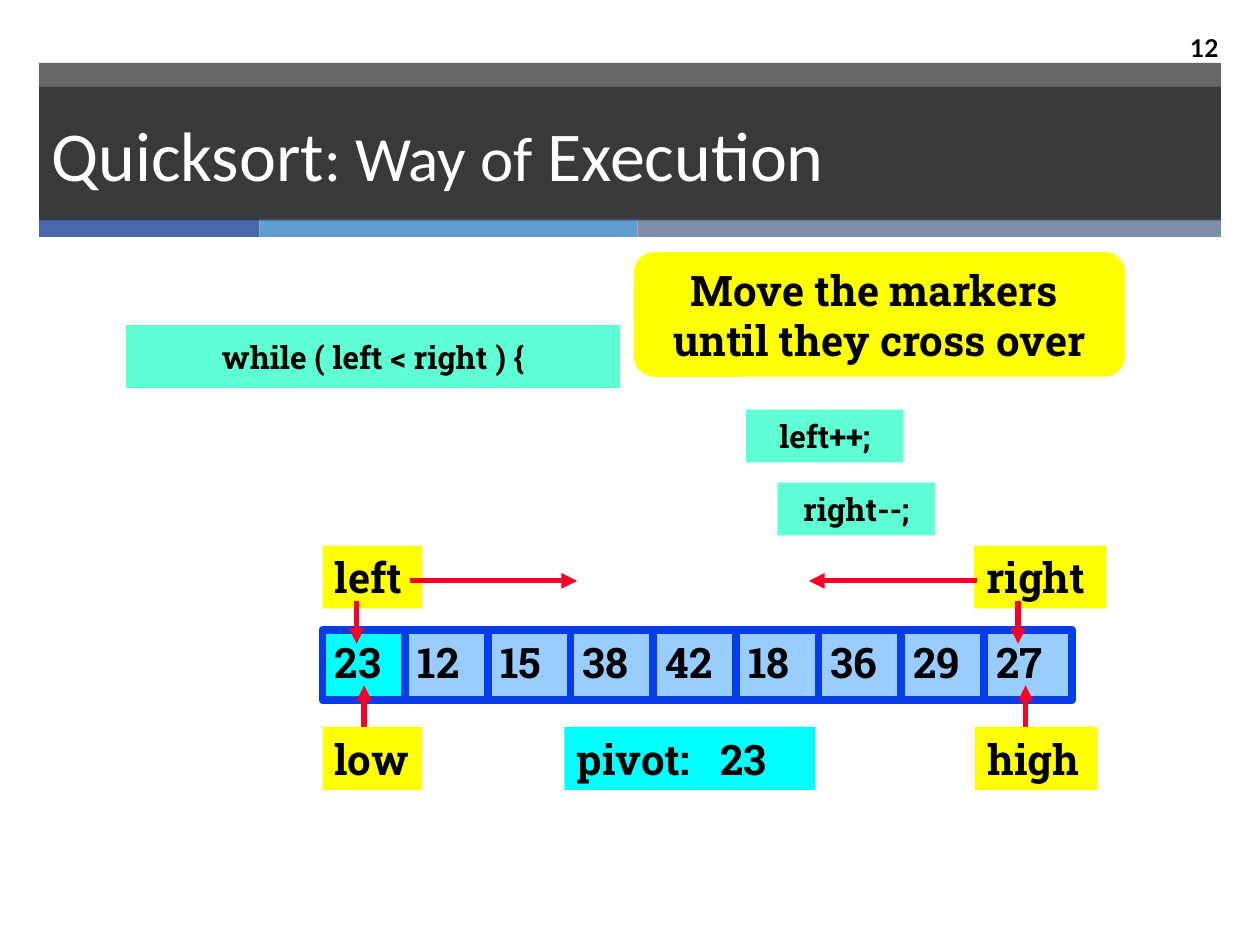
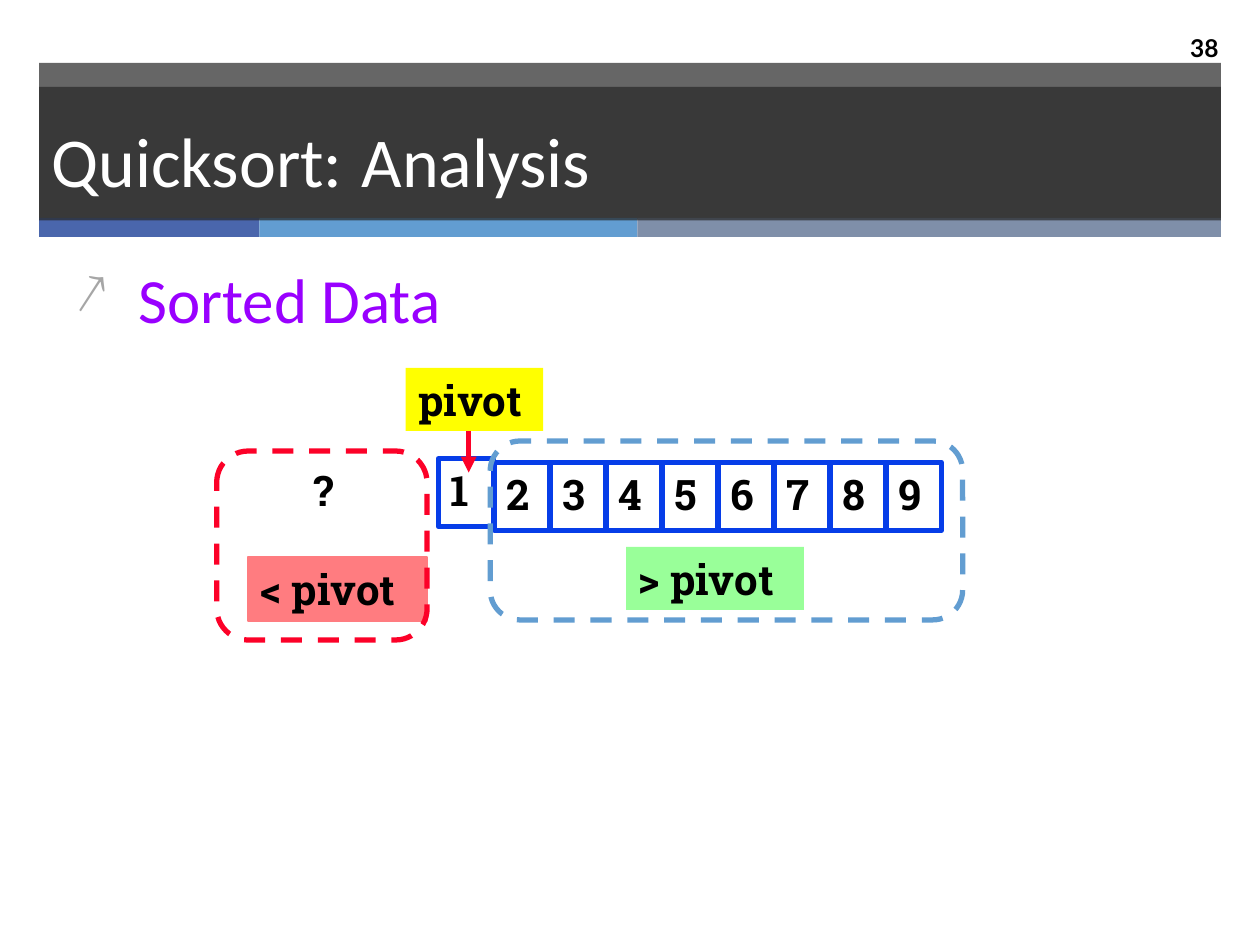
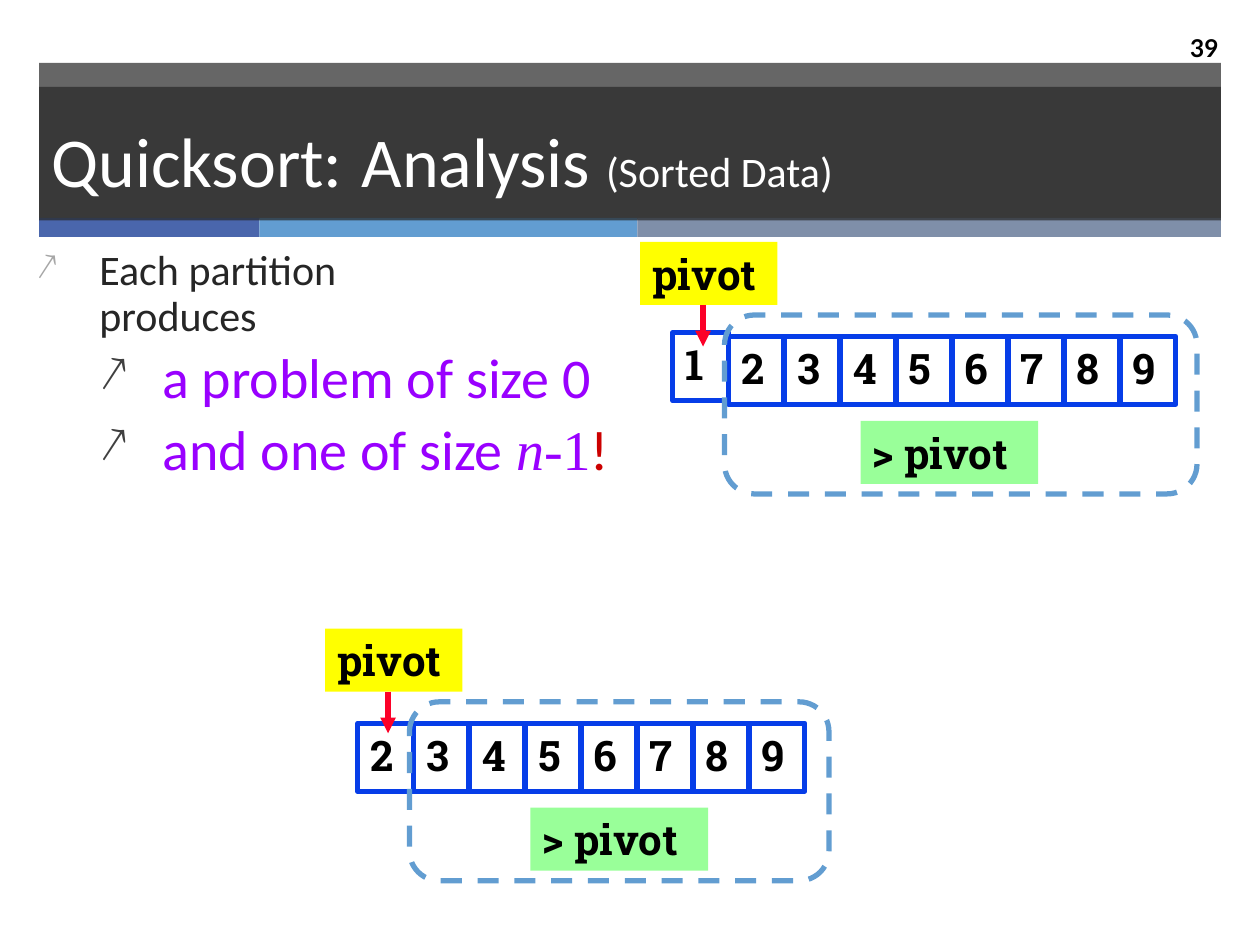
from lxml.etree import SubElement
from pptx import Presentation
from pptx.dml.color import RGBColor
from pptx.enum.dml import MSO_LINE_DASH_STYLE as Dash
from pptx.enum.shapes import MSO_CONNECTOR as Connector, MSO_SHAPE as Shape
from pptx.enum.text import MSO_ANCHOR as Anchor, PP_ALIGN as Align
from pptx.oxml.ns import qn
from pptx.util import Inches, Pt

BLACK = RGBColor(0x00, 0x00, 0x00)
WHITE = RGBColor(0xFF, 0xFF, 0xFF)
CHARCOAL = RGBColor(0x26, 0x26, 0x26)
BULLET_LIGHT = RGBColor(0xA6, 0xA6, 0xA6)
BULLET_DARK = RGBColor(0x40, 0x40, 0x40)
INDIGO = RGBColor(0x4A, 0x66, 0xAC)
SKY = RGBColor(0x62, 0x9D, 0xD1)
SLATE = RGBColor(0x7F, 0x8F, 0xA9)
CELL_BORDER = RGBColor(0x06, 0x3D, 0xE8)
CELL_FILL = RGBColor(0x99, 0xCC, 0xFF)
CYAN = RGBColor(0x00, 0xFF, 0xFF)
MINT = RGBColor(0x5F, 0xFF, 0xD5)
YELLOW = RGBColor(0xFF, 0xFF, 0x00)
GREEN = RGBColor(0x99, 0xFF, 0x99)
SALMON = RGBColor(0xFF, 0x7C, 0x80)
RED = RGBColor(0xFC, 0x01, 0x28)
PURPLE = RGBColor(0x99, 0x00, 0xFF)
CRIMSON = RGBColor(0xCC, 0x00, 0x00)

SLAB, SANS, SERIF, NUMBER = "Roboto Slab", "Calibri", "Times New Roman", "Lato"

# Shared header: (left, width, colour) of each stripe
STRIPES = [(0.31, 1.75, INDIGO), (2.06, 3, SKY), (5.06, 4.63, SLATE)]

# Titles as (text, size) runs
EXECUTION_TITLE = [("Quicksort", 40), (": Way of ", 36), ("Execution", 40)]
ANALYSIS_TITLE = [("Quicksort:", 40), (" ", 48), ("Analysis", 40)]
SORTED_TITLE = [("Quicksort:", 40), (" ", 48), ("Analysis ", 40), ("(Sorted Data)", 24)]

# Execution slide
CODE = [
    ("right--;", (6.17, 3.83, 1.25, 0.42)),
    ("left++;", (5.92, 3.25, 1.25, 0.42)),
    ("while ( left < right ) {", (1, 2.58, 3.92, 0.5)),
]
VALUES = [23, 12, 15, 38, 42, 18, 36, 29, 27]
# Each marker: text, box, arrow start, arrow end, arrow lies behind the label
MARKERS = [
    ("low", (2.56, 5.77, 0.79, 0.5), (2.89, 6.27), (2.89, 5.44), True),
    ("high", (7.74, 5.77, 0.97, 0.5), (8.14, 6.27), (8.14, 5.44), True),
    ("left", (2.56, 4.33, 0.79, 0.5), (2.83, 4.77), (2.83, 5.11), False),
    ("right", (7.73, 4.33, 1.05, 0.5), (8.08, 4.77), (8.08, 5.11), False),
]
MOVES = [((3.25, 4.61), (4.58, 4.61)), ((7.75, 4.61), (6.42, 4.61))]

# Partitions: pivot label left and top, values, raise of first cell, left of "> pivot"
ANALYSIS_PARTITION = (3.22, 2.92, range(1, 10), 0.03, 4.97)
SORTED_PARTITIONS = [
    (5.08, 1.92, range(1, 10), 0.03, 6.83),
    (2.58, 4.99, range(2, 10), 0, 4.21),
]

# Bulleted text
SORTED_DATA = [dict(runs=[("Sorted Data", {})], indent=0.5, bullet=BULLET_LIGHT)]
SUBPOINT = dict(indent=1, bullet=BULLET_DARK, spacing=0.9, before=6)
LARGE = dict(size=32, color=PURPLE)
FORMULA = dict(LARGE, font=SERIF)
PROBLEM_SIZES = [
    dict(runs=[("Each partition\nproduces", {})], indent=0.5,
         bullet=BULLET_LIGHT, spacing=0.9),
    dict(SUBPOINT, runs=[("a problem of size 0", LARGE)]),
    dict(SUBPOINT, runs=[
        ("and one of size ", LARGE), ("n-", dict(FORMULA, italic=True)),
        ("1", FORMULA), ("!", dict(LARGE, color=CRIMSON))]),
]


def add_run(paragraph, text, size=24, font=SLAB, color=BLACK, bold=False, italic=False):
    for index, line in enumerate(text.split("\n")):
        if index:
            paragraph.add_line_break()
        run = paragraph.add_run()
        run.text = line
        run.font.size, run.font.name = Pt(size), font
        run.font.color.rgb = color
        run.font.bold, run.font.italic = bold, italic


def add_bullet(paragraph, indent, color):
    properties = paragraph._p.get_or_add_pPr()
    properties.set("marL", str(Inches(indent)))
    properties.set("indent", str(Inches(-0.5)))
    SubElement(SubElement(properties, qn("a:buClr")), qn("a:srgbClr"), val=str(color))
    SubElement(properties, qn("a:buSzPct"), val="90000")
    SubElement(properties, qn("a:buChar"), char="↗")


def write(shape, content, align=Align.LEFT, anchor=Anchor.TOP, tab=None, **style):
    """Fill a shape with a string (one paragraph a line) or a list of paragraph dicts."""
    frame = shape.text_frame
    frame.word_wrap, frame.vertical_anchor = True, anchor
    if isinstance(content, str):
        content = [dict(runs=[(line, {})]) for line in content.split("\n")]
    for index, item in enumerate(content):
        paragraph = frame.add_paragraph() if index else frame.paragraphs[0]
        paragraph.alignment = align
        if "spacing" in item:
            paragraph.line_spacing = item["spacing"]
        if index and "before" in item:
            paragraph.space_before = Pt(item["before"])
        if "bullet" in item:
            add_bullet(paragraph, item["indent"], item["bullet"])
        if tab:
            tabs = SubElement(paragraph._p.get_or_add_pPr(), qn("a:tabLst"))
            SubElement(tabs, qn("a:tab"), pos=str(Inches(tab)), algn="l")
        for text, override in item["runs"]:
            add_run(paragraph, text, **{**style, **override})


def add_box(slide, box, fill=None, line=None, width=3, kind=Shape.RECTANGLE,
            dashed=False, alpha=None):
    shape = slide.shapes.add_shape(kind, *map(Inches, box))
    shape.shadow.inherit = False
    if fill is None:
        shape.fill.background()
    else:
        shape.fill.solid()
        shape.fill.fore_color.rgb = fill
    if alpha:
        color = shape.fill._xPr.find(qn("a:solidFill"))[0]
        SubElement(color, qn("a:alpha"), val=str(alpha * 1000))
    if line is None:
        shape.line.fill.background()
    else:
        shape.line.color.rgb, shape.line.width = line, Pt(width)
    if dashed:
        shape.line.dash_style = Dash.DASH
    return shape


def add_label(slide, text, box, fill=None, line=None, width=3, tab=None):
    shape = add_box(slide, box, fill, line, width)
    shape.text_frame.margin_right = 0
    write(shape, text, tab=tab, bold=True)


def add_arrow(slide, start, end):
    arrow = slide.shapes.add_connector(Connector.STRAIGHT, *map(Inches, start + end))
    arrow.line.color.rgb, arrow.line.width = RED, Pt(3)
    SubElement(arrow.line._get_or_add_ln(), qn("a:tailEnd"), type="triangle")
    SubElement(arrow._element.spPr, qn("a:effectLst"))


def add_text(slide, content, box, **style):
    write(slide.shapes.add_textbox(*map(Inches, box)), content, **style)


def add_frame(slide, box, color):
    add_box(slide, box, line=color, kind=Shape.ROUNDED_RECTANGLE, dashed=True)


def start_slide(presentation, number, title):
    slide = presentation.slides.add_slide(presentation.slide_layouts[6])
    add_box(slide, (0.31, 0.5, 9.38, 1.24), CHARCOAL, alpha=70)
    for left, width, color in STRIPES:
        add_box(slide, (left, 1.73, width, 0.15), color)
    add_text(slide, str(number), (9.08, 0.18, 0.69, 0.39), align=Align.RIGHT,
             anchor=Anchor.MIDDLE, size=14, font=NUMBER, bold=True)
    band = add_box(slide, (0.31, 0.69, 9.38, 1.06), CHARCOAL, alpha=70)
    runs = [(text, dict(size=size)) for text, size in title]
    write(band, [dict(runs=runs)], anchor=Anchor.MIDDLE, font=SANS, color=WHITE)
    return slide


def add_partition(slide, left, top, values, first_raise, greater_left):
    """Draw a sorted row with its pivot and the frame around the greater values."""
    pitch = 0.444
    for index, value in enumerate(values):
        cell_top = top + 0.75 - (0 if index else first_raise)
        add_label(slide, str(value), (left + 0.26 + index * pitch, cell_top, 0.44, 0.54),
                  line=CELL_BORDER)
    add_label(slide, "pivot", (left, top, 1.09, 0.5), YELLOW)
    add_arrow(slide, (left + 0.5, top + 0.5), (left + 0.5, top + 0.83))
    frame_width = 0.39 + 0.42 * (len(values) - 1)
    add_frame(slide, (left + 0.67, top + 0.58, frame_width, 1.42), SKY)
    add_label(slide, "> pivot", (greater_left, top + 1.42, 1.41, 0.5), GREEN)


def build_execution(presentation):
    slide = start_slide(presentation, 12, EXECUTION_TITLE)
    for text, box in CODE:
        write(add_box(slide, box, MINT), text, align=Align.CENTER,
              anchor=Anchor.MIDDLE, size=18, bold=True)
    callout = add_box(slide, (5.03, 2, 3.9, 0.99), YELLOW, kind=Shape.ROUNDED_RECTANGLE)
    write(callout, "Move the markers \nuntil they cross over", align=Align.CENTER, bold=True)
    # Array
    for index, value in enumerate(VALUES):
        add_label(slide, str(value), (2.56 + index * 0.656, 5, 0.7, 0.56),
                  CELL_FILL if index else CYAN, CELL_BORDER, 4.5)
    # Markers and their movement
    for text, box, start, end, behind in MARKERS:
        if behind:
            add_arrow(slide, start, end)
        add_label(slide, text, box, YELLOW)
        if not behind:
            add_arrow(slide, start, end)
    add_label(slide, "pivot:\t23", (4.48, 5.77, 1.99, 0.5), CYAN, tab=1.14)
    for start, end in MOVES:
        add_arrow(slide, start, end)


def build_analysis(presentation):
    slide = start_slide(presentation, 38, ANALYSIS_TITLE)
    add_partition(slide, *ANALYSIS_PARTITION)
    # Empty lower part
    add_label(slide, "< pivot", (1.97, 4.42, 1.42, 0.51), SALMON, SALMON, 1)
    add_frame(slide, (1.72, 3.58, 1.67, 1.5), RED)
    add_text(slide, "?", (2.39, 3.64, 0.42, 0.5), bold=True)
    add_text(slide, SORTED_DATA, (0.5, 2.02, 8.5, 1.67), size=36, font=SANS, color=PURPLE)


def build_sorted_analysis(presentation):
    slide = start_slide(presentation, 39, SORTED_TITLE)
    add_text(slide, PROBLEM_SIZES, (0.19, 1.93, 5.08, 4.75), font=SANS, color=CHARCOAL)
    for partition in SORTED_PARTITIONS:
        add_partition(slide, *partition)


def main():
    presentation = Presentation()
    presentation.slide_width, presentation.slide_height = Inches(10), Inches(7.5)
    build_execution(presentation)
    build_analysis(presentation)
    build_sorted_analysis(presentation)
    presentation.save("out.pptx")


if __name__ == "__main__":
    main()
